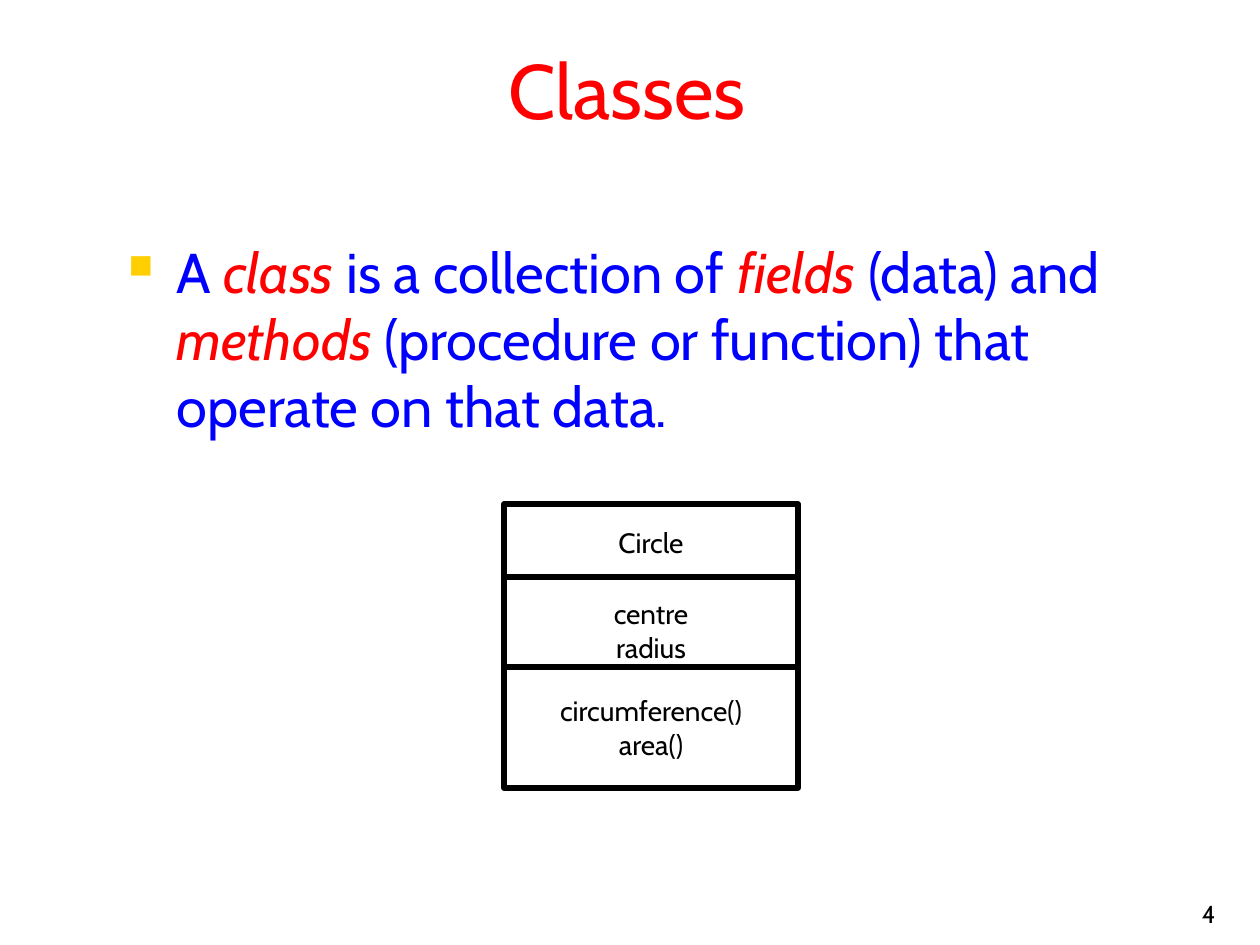
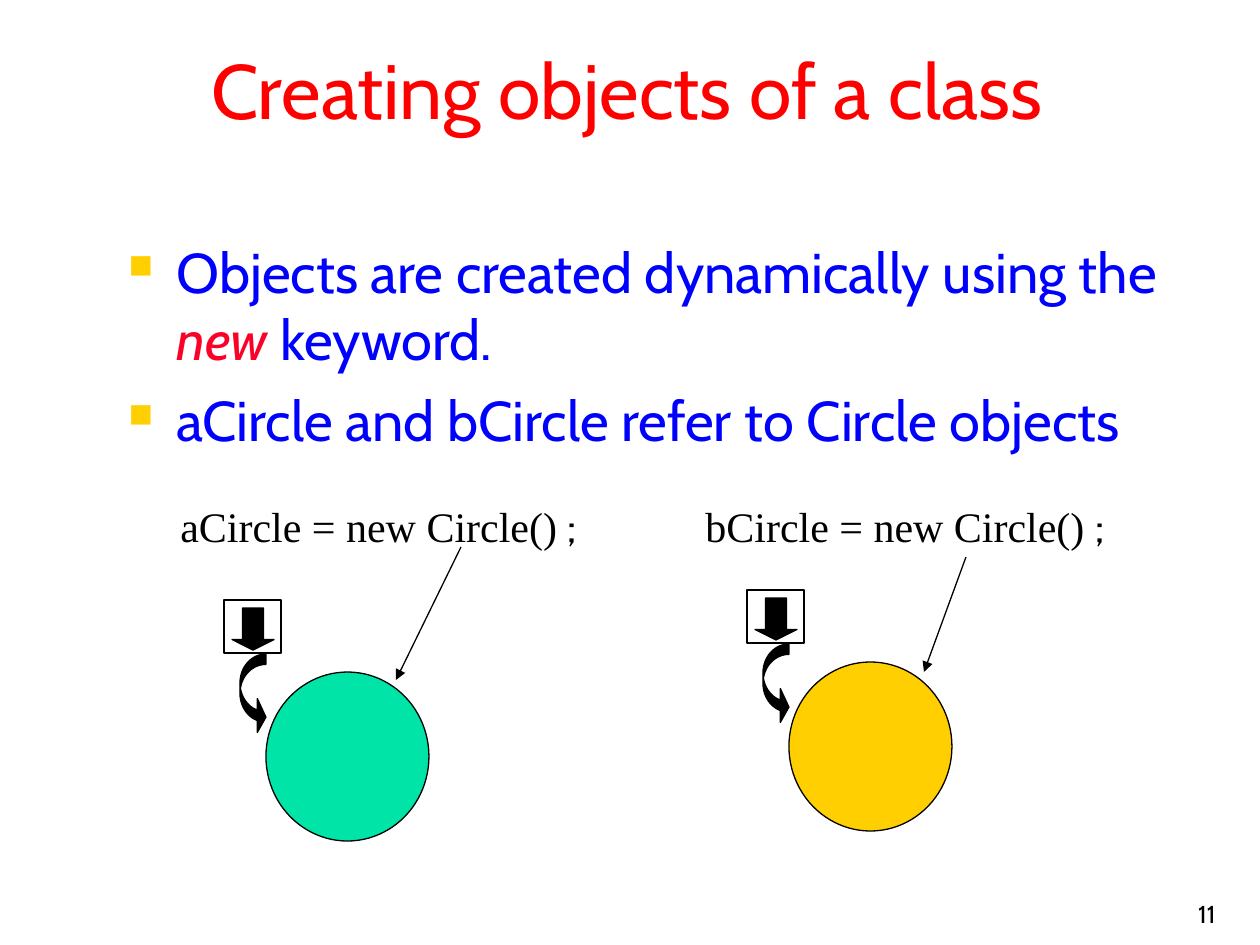
from lxml.etree import SubElement
from pptx import Presentation
from pptx.dml.color import RGBColor
from pptx.enum.shapes import MSO_CONNECTOR as Connector, MSO_SHAPE as Shape
from pptx.enum.text import MSO_ANCHOR as Anchor, PP_ALIGN as Align
from pptx.oxml.ns import qn
from pptx.util import Emu, Pt

EMU_PER_INCH, PX_PER_INCH = 914400, 126

# Shared look
FONT, CODE_FONT = "Cabin", "Times New Roman"
WHITE, BLACK, RED, BLUE = "FFFFFF", "000000", "FF0000", "0000FF"
CRIMSON, GREEN, GOLD = "FC0128", "00E4A8", "FFCF01"
BULLET_INDENT = 48


def px(length):
    return Emu(round(length * EMU_PER_INCH / PX_PER_INCH))


def color(hex_string):
    return RGBColor.from_string(hex_string)


def emphasis(text, tint=RED):
    return text, {"tint": tint, "italic": True}


def write_text(shape, paragraphs, size=16, font=FONT, tint=BLACK,
               align=Align.LEFT, anchor=Anchor.TOP, wrap=True, bullet=False):
    """Each paragraph is a string or a list of strings and (text, format) pairs."""
    frame = shape.text_frame
    frame.word_wrap = wrap
    frame.vertical_anchor = anchor
    for index, content in enumerate(paragraphs):
        paragraph = frame.add_paragraph() if index else frame.paragraphs[0]
        paragraph.alignment = align
        if bullet:
            add_bullet(paragraph)
        for part in [content] if isinstance(content, str) else content:
            text, special = (part, {}) if isinstance(part, str) else part
            run = paragraph.add_run()
            run.text = text
            run.font.size = Pt(size)
            run.font.name = special.get("font", font)
            run.font.italic = special.get("italic", False)
            run.font.color.rgb = color(special.get("tint", tint))


def add_bullet(paragraph):
    paragraph.space_before = Pt(8)
    properties = paragraph._p.get_or_add_pPr()
    properties.set("marL", str(px(BULLET_INDENT)))
    properties.set("indent", str(-px(BULLET_INDENT)))
    bullet_color = SubElement(properties, qn("a:buClr"))
    SubElement(bullet_color, qn("a:srgbClr"), val=GOLD)
    SubElement(properties, qn("a:buSzPct"), val="60000")
    SubElement(properties, qn("a:buChar"), char="■")


def add_text(slide, box, paragraphs, **text_format):
    shape = slide.shapes.add_textbox(*map(px, box))
    write_text(shape, paragraphs, **text_format)
    return shape


def add_box(shapes, kind, box, fill=WHITE, line_width=0.75, adjustments=()):
    shape = shapes.add_shape(kind, *map(px, box))
    shape.shadow.inherit = False
    shape.fill.solid()
    shape.fill.fore_color.rgb = color(fill)
    shape.line.color.rgb = color(BLACK)
    shape.line.width = Pt(line_width)
    for index, value in enumerate(adjustments):
        shape.adjustments[index] = value
    return shape


def add_arrow(slide, start, end):
    connector = slide.shapes.add_connector(Connector.STRAIGHT, *map(px, start + end))
    connector.line.color.rgb = color(BLACK)
    connector.line.width = Pt(0.75)
    SubElement(connector.line._get_or_add_ln(), qn("a:tailEnd"), type="triangle")
    SubElement(connector._element.spPr, qn("a:effectLst"))


def add_base_slide(presentation, title, number, bullets):
    slide = presentation.slides.add_slide(presentation.slide_layouts[6])
    add_text(slide, (966, 872, 262, 63), [number], size=14,
             align=Align.RIGHT, anchor=Anchor.BOTTOM)
    add_text(slide, (21, 21, 1212, 136), [title], size=44, tint=RED,
             align=Align.CENTER, anchor=Anchor.MIDDLE)
    add_text(slide, (116, 231, 1113, 614), bullets, size=32, tint=BLUE, bullet=True)
    return slide


def add_class_diagram(slide, left, width, compartments):
    group = slide.shapes.add_group_shape()
    for top, height, lines in compartments:
        shape = add_box(group.shapes, Shape.RECTANGLE, (left, top, width, height),
                        line_width=3)
        write_text(shape, lines, align=Align.CENTER, anchor=Anchor.MIDDLE, wrap=False)


def add_statement(slide, left, width, text):
    statement = add_text(slide, (left, 494, width, 63), [[text, (";", {"font": FONT})]],
                         size=24, font=CODE_FONT)
    statement.line.color.rgb = color(WHITE)
    statement.line.width = Pt(0.75)


def add_object(slide, left, top, fill):
    """Draw a reference box whose curved arrow leads to its object."""
    add_box(slide.shapes, Shape.RECTANGLE, (left, top, 57, 53))
    add_box(slide.shapes, Shape.CURVED_RIGHT_ARROW, (left + 16, top + 54, 26, 80),
            BLACK, adjustments=(0.4, 1.3, 0.33))
    add_box(slide.shapes, Shape.OVAL, (left + 42, top + 72, 163, 169), fill)
    add_box(slide.shapes, Shape.DOWN_ARROW, (left + 8, top + 8, 42, 42), BLACK,
            adjustments=(0.5, 0.25))


def build_classes(presentation):
    definition = ["A ", emphasis("class "), "is a collection of ", emphasis("fields"),
                  " (data) and ", emphasis("methods "),
                  "(procedure or function) that operate on that data."]
    slide = add_base_slide(presentation, "Classes", "4", [definition])
    add_class_diagram(slide, 504, 294, [
        (504, 77, ["Circle"]),
        (577, 107, ["centre", "radius"]),
        (667, 121, ["circumference()", "area()"]),
    ])


def build_creating_objects(presentation):
    slide = add_base_slide(presentation, "Creating objects of a class", "11", [
        ["Objects are created dynamically using the ", emphasis("new", CRIMSON),
         " keyword."],
        "aCircle and bCircle refer to Circle objects",
    ])
    # Statements, then the objects they create
    add_statement(slide, 693, 536, "bCircle = new Circle() ")
    add_statement(slide, 168, 441, "aCircle = new Circle() ")
    add_object(slide, 224, 600, GREEN)
    add_object(slide, 747, 590, GOLD)
    add_arrow(slide, (461, 547), (396, 680))
    add_arrow(slide, (966, 557), (924, 672))


def main():
    presentation = Presentation()
    presentation.slide_width = px(1260)
    presentation.slide_height = px(945)
    build_classes(presentation)
    build_creating_objects(presentation)
    presentation.save("out.pptx")


if __name__ == "__main__":
    main()
